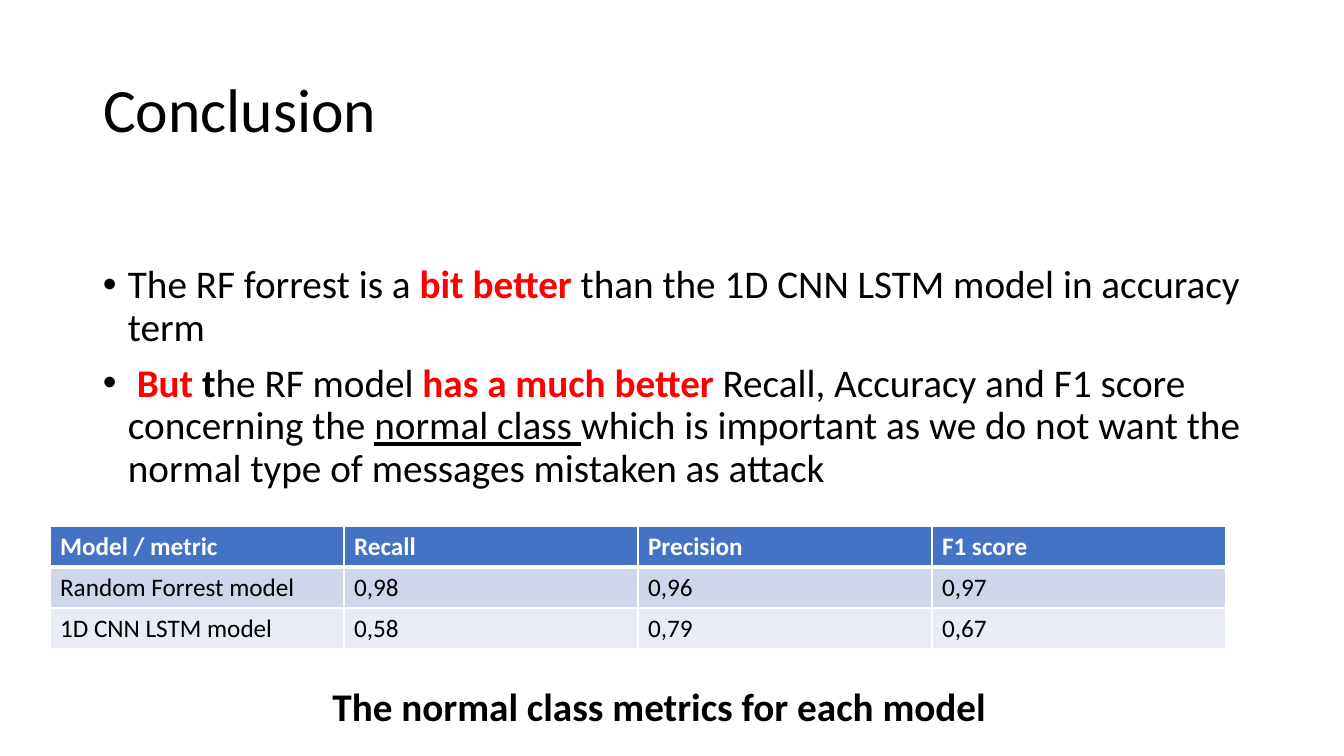
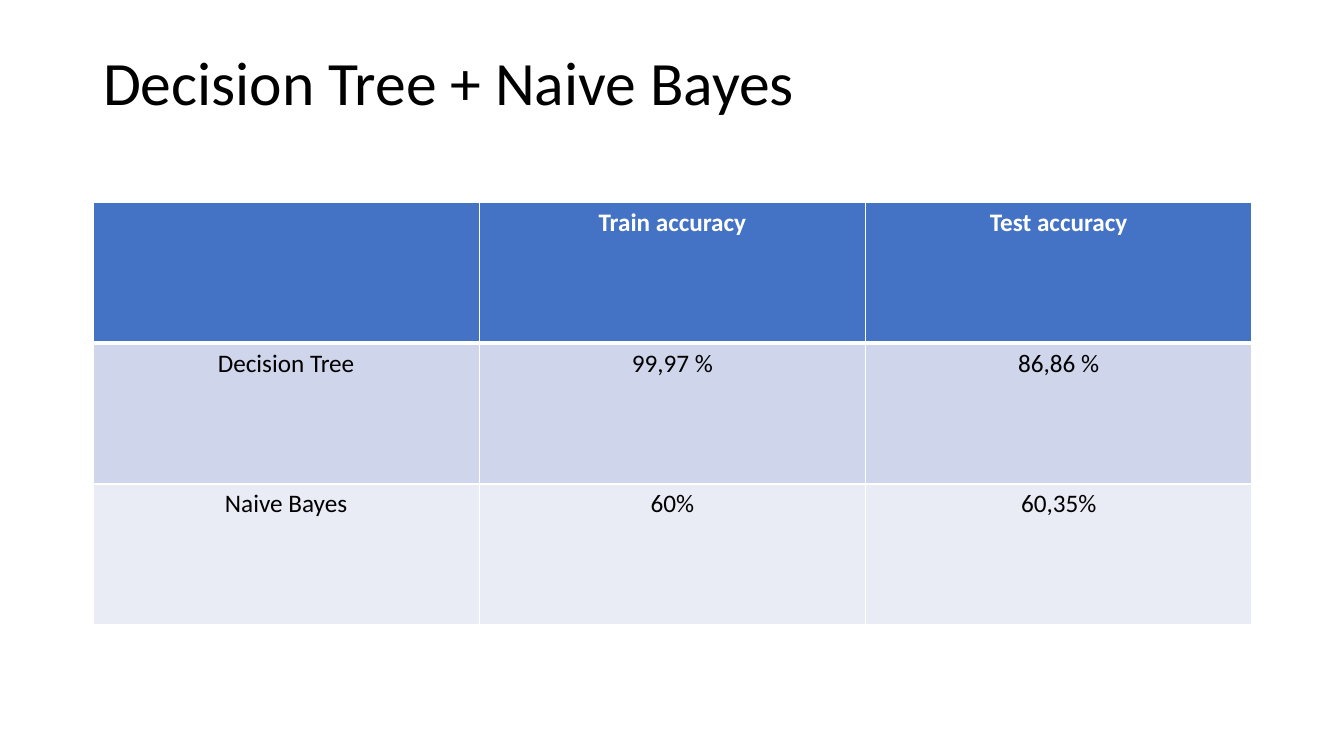
import pptx
import pptx.util
import pptx.dml.color
import pptx.enum.text
import pptx.oxml
import pptx.oxml.ns
from lxml import etree

RGB = pptx.dml.color.RGBColor
ALIGN = pptx.enum.text.PP_ALIGN
ANCHOR = pptx.enum.text.MSO_ANCHOR
AUTO_SIZE = pptx.enum.text.MSO_AUTO_SIZE

BLACK = RGB(0x00, 0x00, 0x00)
WHITE = RGB(0xFF, 0xFF, 0xFF)
RED = RGB(0xFF, 0x00, 0x00)
HEADER_BLUE = RGB(0x44, 0x72, 0xC4)
BANDS = [RGB(0xCF, 0xD5, 0xEA), RGB(0xE9, 0xEB, 0xF5)]
FONT = "Calibri"
TITLE_SIZE, BODY_SIZE, TABLE_SIZE = 44, 28, 18

# Content: each finding is a list of (text, style) pieces
FINDINGS = [
    [("The RF forrest is a ", "plain"), ("bit better ", "key"),
     ("than the 1D CNN LSTM model in accuracy term", "plain")],
    [(" ", "plain"), ("But ", "key"), ("t", "bold"), ("he RF model ", "plain"),
     ("has a much better ", "key"),
     ("Recall, Accuracy and F1 score concerning the ", "plain"),
     ("normal class ", "underlined"),
     ("which is important as we do not want the normal type of messages "
      "mistaken as attack", "plain")],
]
STYLES = {
    "plain": {},
    "key": {"color": RED, "bold": True},
    "bold": {"bold": True},
    "underlined": {"underline": True},
}
NORMAL_CLASS_METRICS = [
    ("Model / metric", "Recall", "Precision", "F1 score"),
    ("Random Forrest model", "0,98", "0,96", "0,97"),
    ("1D CNN LSTM model", "0,58", "0,79", "0,67"),
]
METRICS_CAPTION = "The normal class metrics for each model"
ACCURACIES = [
    ("", "Train accuracy", "Test accuracy"),
    ("Decision Tree", "99,97 %", "86,86 %"),
    ("Naive Bayes", "60%", "60,35%"),
]

# Layout in pixels
SLIDE_W, SLIDE_H = 1344, 756
LEFT, CONTENT_W = 93, 1159
TITLE_TOP = 40
INDENT = 25


def px(length):
    return pptx.util.Emu(round(length * 914400 / 100.8))


def format_run(run, size, color=BLACK, bold=False, underline=False):
    run.font.name = FONT
    run.font.size = pptx.util.Pt(size)
    run.font.color.rgb = color
    run.font.bold = bold
    run.font.underline = underline


def add_titled_slide(title, height):
    slide = deck.slides.add_slide(deck.slide_layouts[5])
    heading = slide.shapes.title
    heading.left, heading.top = px(LEFT), px(TITLE_TOP)
    heading.width, heading.height = px(CONTENT_W), px(height)
    frame = heading.text_frame
    frame.text = title
    frame.word_wrap = True
    frame.auto_size = AUTO_SIZE.NONE
    frame.vertical_anchor = ANCHOR.MIDDLE
    line = frame.paragraphs[0]
    line.alignment = ALIGN.LEFT
    line.line_spacing = 0.9
    format_run(line.runs[0], TITLE_SIZE)
    return slide


def add_text_frame(slide, left, top, width, height):
    frame = slide.shapes.add_textbox(px(left), px(top), px(width), px(height)).text_frame
    frame.word_wrap = True
    return frame


def add_bullet(paragraph):
    properties = paragraph._p.get_or_add_pPr()
    properties.set("marL", str(px(INDENT)))
    properties.set("indent", str(-px(INDENT)))
    font = etree.SubElement(properties, pptx.oxml.ns.qn("a:buFont"))
    font.set("typeface", "Arial")
    mark = etree.SubElement(properties, pptx.oxml.ns.qn("a:buChar"))
    mark.set("char", "•")


def set_borders(cell, top, bottom):
    properties = cell._tc.get_or_add_tcPr()
    widths = {"lnL": 1, "lnR": 1, "lnT": top, "lnB": bottom}
    for position, (side, points) in enumerate(widths.items()):
        border = pptx.oxml.parse_xml(
            f'<a:{side} {pptx.oxml.ns.nsdecls("a")} w="{pptx.util.Pt(points)}">'
            f'<a:solidFill><a:srgbClr val="{WHITE}"/></a:solidFill></a:{side}>')
        properties.insert(position, border)


def add_metric_table(slide, rows, left, top, column_w, row_h, alignment):
    columns = len(rows[0])
    table = slide.shapes.add_table(
        len(rows), columns, px(left), px(top),
        px(column_w * columns), px(row_h * len(rows))).table
    for column in table.columns:
        column.width = px(column_w)
    for r, values in enumerate(rows):
        table.rows[r].height = px(row_h)
        header = r == 0
        for c, value in enumerate(values):
            cell = table.cell(r, c)
            cell.fill.solid()
            cell.fill.fore_color.rgb = HEADER_BLUE if header else BANDS[(r - 1) % 2]
            set_borders(cell, top=3 if r == 1 else 1, bottom=3 if header else 1)
            cell.text_frame.text = value
            line = cell.text_frame.paragraphs[0]
            line.alignment = alignment
            for run in line.runs:
                format_run(run, TABLE_SIZE, WHITE if header else BLACK, bold=header)


deck = pptx.Presentation()
deck.slide_width, deck.slide_height = px(SLIDE_W), px(SLIDE_H)

# Conclusion: findings, metrics table and its caption
conclusion = add_titled_slide("Conclusion", 146)
findings_frame = add_text_frame(conclusion, LEFT, 260, CONTENT_W, 456)
for number, pieces in enumerate(FINDINGS):
    finding = findings_frame.add_paragraph() if number else findings_frame.paragraphs[0]
    finding.line_spacing = 0.9
    finding.space_before = pptx.util.Pt(10 if number else 0)
    add_bullet(finding)
    for text, style in pieces:
        piece = finding.add_run()
        piece.text = text
        format_run(piece, BODY_SIZE, **STYLES[style])

add_metric_table(conclusion, NORMAL_CLASS_METRICS, 50, 526, 294, 41, ALIGN.LEFT)

caption_frame = add_text_frame(conclusion, 107, 677, 1104, 57)
caption_frame.text = METRICS_CAPTION
caption_frame.paragraphs[0].alignment = ALIGN.CENTER
format_run(caption_frame.paragraphs[0].runs[0], BODY_SIZE, bold=True)

# Accuracy of the two classic models
classic_models = add_titled_slide("Decision Tree + Naive Bayes", 92)
add_metric_table(classic_models, ACCURACIES, LEFT, 202, CONTENT_W / 3, 141, ALIGN.CENTER)

deck.save("out.pptx")
